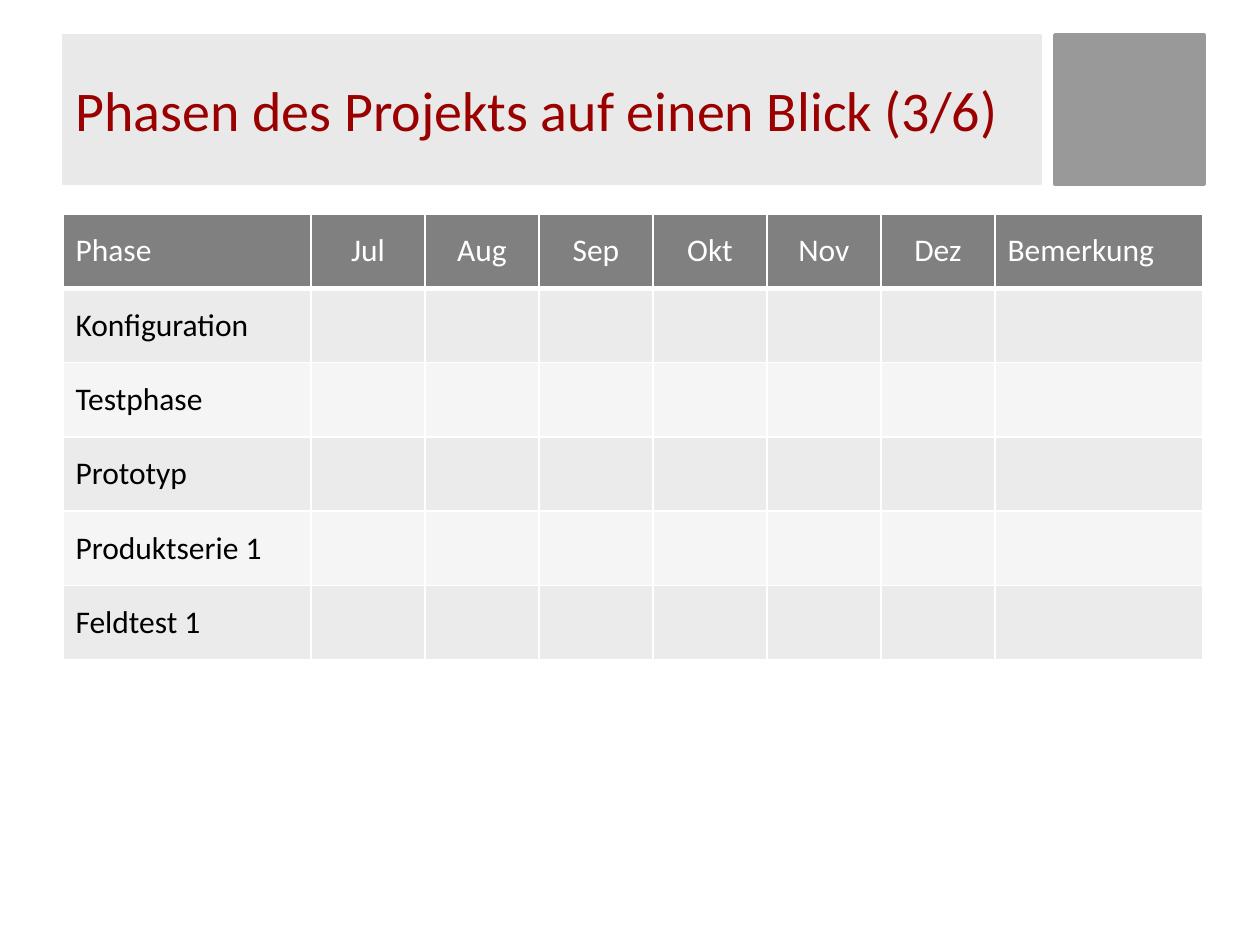
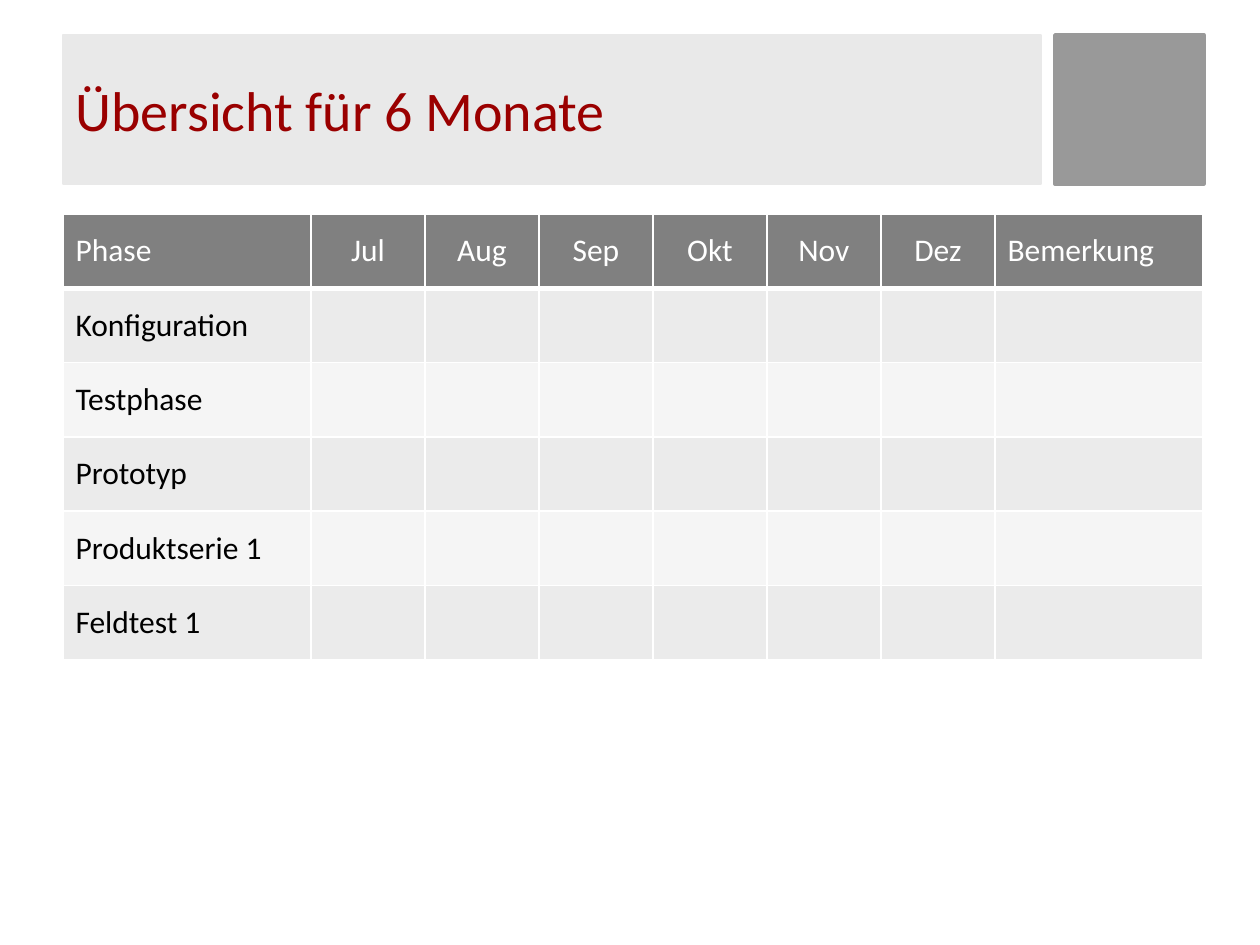
from dataclasses import dataclass

from lxml.etree import SubElement
from pptx import Presentation
from pptx.dml.color import RGBColor
from pptx.enum.shapes import MSO_SHAPE
from pptx.enum.text import MSO_ANCHOR, PP_ALIGN
from pptx.oxml.ns import qn
from pptx.shapes.autoshape import Shape
from pptx.slide import Slide
from pptx.table import _Cell
from pptx.text.text import TextFrame
from pptx.util import Emu, Inches, Pt

PX_PER_INCH = 126


@dataclass(frozen=True)
class Theme:
    """Colours, font and type sizes shared by all slides."""

    font: str = "Calibri"
    title_size: int = 32
    table_size: int = 18
    title_text: str = "9A0000"
    title_band: str = "E9E9E9"
    accent_square: str = "999999"
    header_fill: str = "808080"
    header_text: str = "FFFFFF"
    body_text: str = "000000"
    row_fills: tuple[str, str] = ("EBEBEB", "F5F5F5")
    grid: str = "FFFFFF"
    grid_width: float = 1
    header_rule_width: float = 3


@dataclass(frozen=True)
class Box:
    """A rectangle in px."""

    left: int
    top: int
    width: int
    height: int

    def emu(self) -> tuple[Emu, Emu, Emu, Emu]:
        """Return the position and size in EMU."""
        return px(self.left), px(self.top), px(self.width), px(self.height)


@dataclass(frozen=True)
class Column:
    """A table column with its heading, width in px and alignment."""

    heading: str
    width: int
    alignment: PP_ALIGN = PP_ALIGN.LEFT


THEME = Theme()
TITLE_BAND = Box(63, 35, 978, 149)
ACCENT_SQUARE = Box(1055, 35, 149, 149)
SCHEDULE = Box(63, 214, 1140, 446)
MONTHS = ("Jul", "Aug", "Sep", "Okt", "Nov", "Dez")
COLUMNS = (
    Column("Phase", 248),
    *(Column(month, 114, PP_ALIGN.CENTER) for month in MONTHS),
    Column("Bemerkung", 208),
)
PHASES = ("Konfiguration", "Testphase", "Prototyp", "Produktserie 1", "Feldtest 1")
TITLES = ("Phasen des Projekts auf einen Blick (3/6)", "Übersicht für 6 Monate")


def px(length: int) -> Emu:
    """Convert px to EMU."""
    return Inches(length / PX_PER_INCH)


def write(frame: TextFrame, text: str, size: int, color: str, alignment: PP_ALIGN) -> None:
    """Write one styled paragraph into a text frame."""
    paragraph = frame.paragraphs[0]
    paragraph.text = text
    paragraph.alignment = alignment
    paragraph.font.name = THEME.font
    paragraph.font.size = Pt(size)
    paragraph.font.color.rgb = RGBColor.from_string(color)


def add_rectangle(slide: Slide, box: Box, color: str, line_width: float) -> Shape:
    """Add a rectangle whose outline has the colour of its fill."""
    shape = slide.shapes.add_shape(MSO_SHAPE.RECTANGLE, *box.emu())
    shape.shadow.inherit = False
    shape.fill.solid()
    shape.fill.fore_color.rgb = RGBColor.from_string(color)
    shape.line.color.rgb = RGBColor.from_string(color)
    shape.line.width = Pt(line_width)
    return shape


def add_title(slide: Slide, title: str) -> None:
    """Add the accent square and the title band."""
    add_rectangle(slide, ACCENT_SQUARE, THEME.accent_square, 2)
    band = add_rectangle(slide, TITLE_BAND, THEME.title_band, 0.75)
    band.text_frame.word_wrap = True
    band.text_frame.vertical_anchor = MSO_ANCHOR.MIDDLE
    write(band.text_frame, title, THEME.title_size, THEME.title_text, PP_ALIGN.LEFT)


def set_borders(cell: _Cell, top: float, bottom: float) -> None:
    """Draw the grid lines around a cell, ahead of its fill."""
    properties = cell._tc.get_or_add_tcPr()
    widths = {"L": THEME.grid_width, "R": THEME.grid_width, "T": top, "B": bottom}
    for position, (side, width) in enumerate(widths.items()):
        line = SubElement(properties, qn(f"a:ln{side}"), w=str(Pt(width)))
        fill = SubElement(line, qn("a:solidFill"))
        SubElement(fill, qn("a:srgbClr"), val=THEME.grid)
        properties.insert(position, line)


def style_cell(cell: _Cell, row: int) -> None:
    """Set the fill, anchor and borders that belong to a cell's row."""
    color = THEME.row_fills[(row - 1) % 2] if row else THEME.header_fill
    cell.fill.solid()
    cell.fill.fore_color.rgb = RGBColor.from_string(color)
    cell.vertical_anchor = MSO_ANCHOR.MIDDLE
    top = THEME.header_rule_width if row == 1 else THEME.grid_width
    bottom = THEME.header_rule_width if row == 0 else THEME.grid_width
    set_borders(cell, top, bottom)


def add_schedule(slide: Slide) -> None:
    """Add the table of phases by month."""
    frame = slide.shapes.add_table(len(PHASES) + 1, len(COLUMNS), *SCHEDULE.emu())
    table = frame.table
    table.first_row = False
    table.horz_banding = False
    for index, column in enumerate(COLUMNS):
        table.columns[index].width = px(column.width)
        for row in range(len(table.rows)):
            style_cell(table.cell(row, index), row)
        write(table.cell(0, index).text_frame, column.heading,
              THEME.table_size, THEME.header_text, column.alignment)
    for row, phase in enumerate(PHASES, start=1):
        write(table.cell(row, 0).text_frame, phase,
              THEME.table_size, THEME.body_text, PP_ALIGN.LEFT)


def main() -> None:
    """Build and save the presentation."""
    presentation = Presentation()
    presentation.slide_width = Inches(10)
    presentation.slide_height = Inches(7.5)
    for title in TITLES:
        slide = presentation.slides.add_slide(presentation.slide_layouts[6])
        add_title(slide, title)
        add_schedule(slide)
    presentation.save("out.pptx")


if __name__ == "__main__":
    main()
